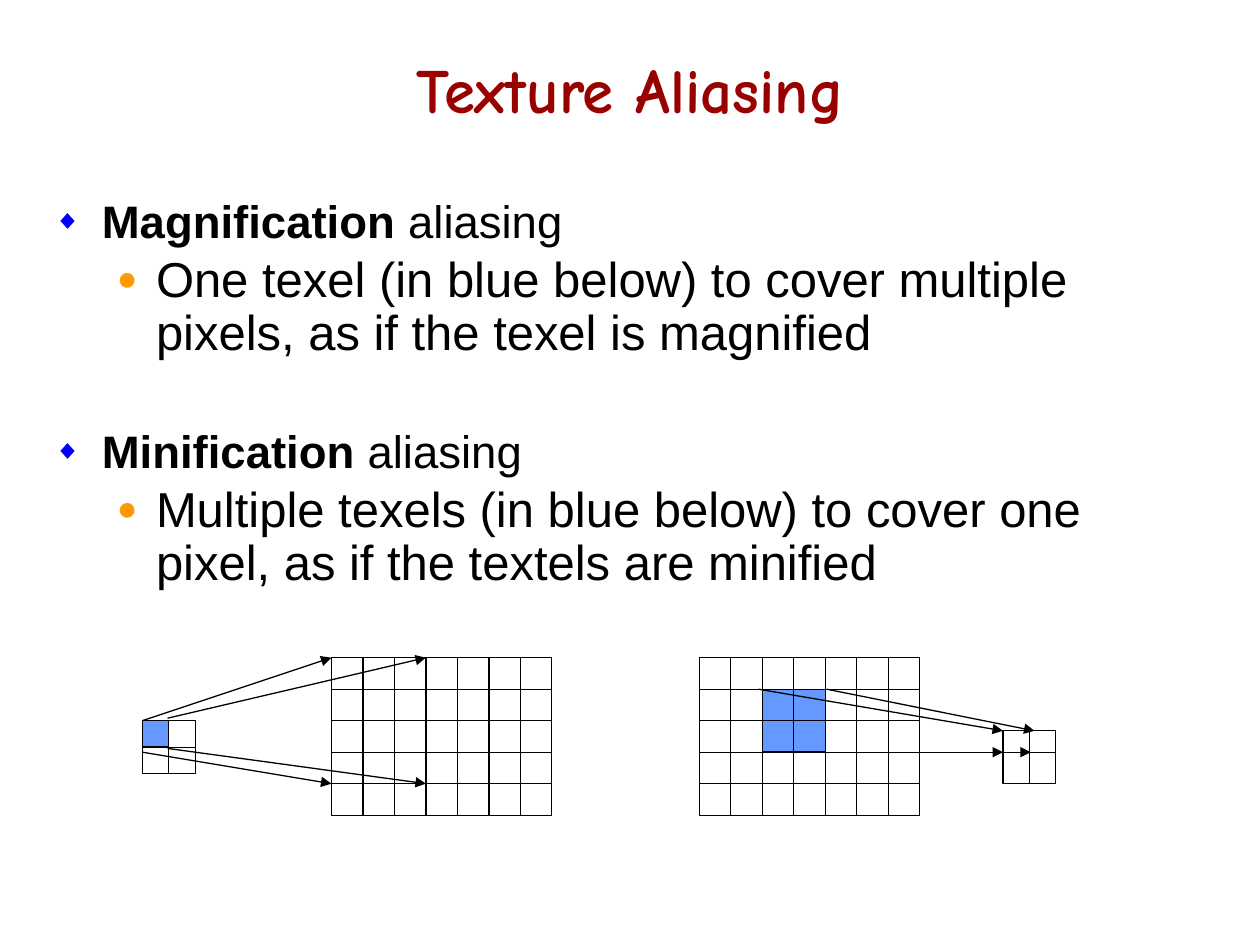
from dataclasses import dataclass
from typing import Sequence
from lxml.etree import SubElement as Sub
from pptx import Presentation
from pptx.dml.color import RGBColor as Rgb
from pptx.enum.shapes import MSO_CONNECTOR as Conn, MSO_SHAPE as Kind
from pptx.enum.text import MSO_ANCHOR as Anchor, PP_ALIGN as Align
from pptx.oxml.ns import qn
from pptx.util import Pt

PX = 9144
WIDE, HIGH = 1000, 750
LINE = 0.75
INK = {"title": "990000", "text": "000000", "line": "000000", "texel": "6699FF",
       "gem": "0000FF", "dot": "FF9900"}


@dataclass(frozen=True)
class Box:
    x: int
    y: int
    w: int
    h: int


@dataclass(frozen=True)
class Grid:
    box: Box
    cols: Sequence[int]
    rows: Sequence[int]


@dataclass(frozen=True)
class Arrow:
    x1: int
    y1: int
    x2: int
    y2: int


@dataclass(frozen=True)
class Level:
    left: int
    hang: int
    mark: str
    ink: str
    size: int


@dataclass(frozen=True)
class Item:
    level: int
    size: int
    bold: str
    plain: str
    before: int = 4


LEVELS = (Level(38, 38, "◆", "gem", 60), Level(81, 31, "●", "dot", 70))
ITEMS = (
    Item(0, 26, "Magnification", " aliasing"),
    Item(1, 28, "", "One texel (in blue below) to cover multiple pixels, "
                    "as if the texel is magnified"),
    Item(0, 26, "Minification", " aliasing", 39),
    Item(1, 28, "", "Multiple texels (in blue below) to cover one pixel, "
                    "as if the textels are minified"),
)
COLS, ROWS = range(25, 175, 25), range(25, 125, 25)
TEXEL = Grid(Box(113, 572, 42, 42), (21,), (21,))
SCREEN = Grid(Box(263, 522, 175, 125), COLS, ROWS)
IMAGE = Grid(Box(555, 522, 175, 125), COLS, ROWS)
PIXEL = Grid(Box(796, 580, 42, 42), (21,), (17,))
GROW = (Arrow(113, 572, 263, 522), Arrow(133, 570, 338, 522),
        Arrow(113, 597, 263, 622), Arrow(133, 594, 338, 622))
SHRINK = (Arrow(656, 547, 821, 580), Arrow(602, 547, 796, 580),
          Arrow(605, 597, 796, 597), Arrow(643, 597, 818, 597))


def tint(name: str) -> Rgb:
    """Return the named colour."""
    return Rgb.from_string(INK[name])


def write(para, text: str, *, size: int, font: str = "Arial",
          ink: str = "text", bold: bool = False) -> None:
    """Add one formatted run to a paragraph."""
    run = para.add_run()
    run.text = text
    run.font.size, run.font.name, run.font.bold = Pt(size), font, bold
    run.font.color.rgb = tint(ink)


def frame(shapes, box: Box):
    """Add a wrapping text box and return its frame."""
    area = shapes.add_textbox(box.x * PX, box.y * PX, box.w * PX, box.h * PX)
    area.text_frame.word_wrap = True
    return area.text_frame


def mark(para, level: Level) -> None:
    """Give a paragraph its indent and bullet."""
    props = para._p.get_or_add_pPr()
    props.set("marL", str(level.left * PX))
    props.set("indent", str(-level.hang * PX))
    Sub(Sub(props, qn("a:buClr")), qn("a:srgbClr"), val=INK[level.ink])
    Sub(props, qn("a:buSzPct"), val=str(level.size * 1000))
    Sub(props, qn("a:buFont"), typeface="Arial")
    Sub(props, qn("a:buChar"), char=level.mark)


def listing(shapes, box: Box, items: Sequence[Item]) -> None:
    """Write the bulleted items."""
    text = frame(shapes, box)
    for i, item in enumerate(items):
        para = text.add_paragraph() if i else text.paragraphs[0]
        para.level = item.level
        para.line_spacing = 0.9
        para.space_before = Pt(item.before)
        mark(para, LEVELS[item.level])
        if item.bold:
            write(para, item.bold, size=item.size, bold=True)
        write(para, item.plain, size=item.size)


def block(shapes, box: Box, fill: str = ""):
    """Draw an outlined rectangle, filled if a colour is named."""
    rect = shapes.add_shape(Kind.RECTANGLE, box.x * PX, box.y * PX,
                            box.w * PX, box.h * PX)
    rect.shadow.inherit = False
    rect.line.color.rgb, rect.line.width = tint("line"), Pt(LINE)
    if fill:
        rect.fill.solid()
        rect.fill.fore_color.rgb = tint(fill)
    else:
        rect.fill.background()
    return rect


def link(shapes, way: Arrow, head: bool = False):
    """Draw a straight line, with an arrowhead if asked."""
    line = shapes.add_connector(Conn.STRAIGHT, way.x1 * PX, way.y1 * PX,
                                way.x2 * PX, way.y2 * PX)
    line.line.color.rgb, line.line.width = tint("line"), Pt(LINE)
    if head:
        Sub(line.line._get_or_add_ln(), qn("a:tailEnd"), type="triangle")
    Sub(line._element.spPr, qn("a:effectLst"))
    return line


def mesh(shapes, grid: Grid) -> None:
    """Draw a grid, joining its middle lines to the frame."""
    box = grid.box
    group = shapes.add_group_shape().shapes
    rect = block(group, box)
    right, base = box.x + box.w, box.y + box.h
    rows = [(Arrow(box.x, box.y + d, right, box.y + d), 2 * d == box.h, 1, 3)
            for d in grid.rows]
    cols = [(Arrow(box.x + d, box.y, box.x + d, base), 2 * d == box.w, 0, 2)
            for d in grid.cols]
    for way, mid, start, end in rows + cols:
        line = link(group, way)
        if mid:
            line.begin_connect(rect, start)
            line.end_connect(rect, end)


def main() -> None:
    """Build and save the slide."""
    deck = Presentation()
    deck.slide_width, deck.slide_height = WIDE * PX, HIGH * PX
    shapes = deck.slides.add_slide(deck.slide_layouts[6]).shapes
    title = frame(shapes, Box(75, 25, 850, 90))
    title.vertical_anchor = Anchor.MIDDLE
    title.paragraphs[0].alignment = Align.CENTER
    write(title.paragraphs[0], "Texture Aliasing", size=36,
          font="Comic Neue", ink="title", bold=True)
    listing(shapes, Box(33, 153, 925, 379), ITEMS)
    block(shapes, Box(605, 547, 50, 50), "texel")
    for grid in (TEXEL, SCREEN, IMAGE, PIXEL):
        mesh(shapes, grid)
    block(shapes, Box(113, 572, 21, 21), "texel")
    for way in GROW + SHRINK:
        link(shapes, way, head=True)
    deck.save("out.pptx")


if __name__ == "__main__":
    main()
